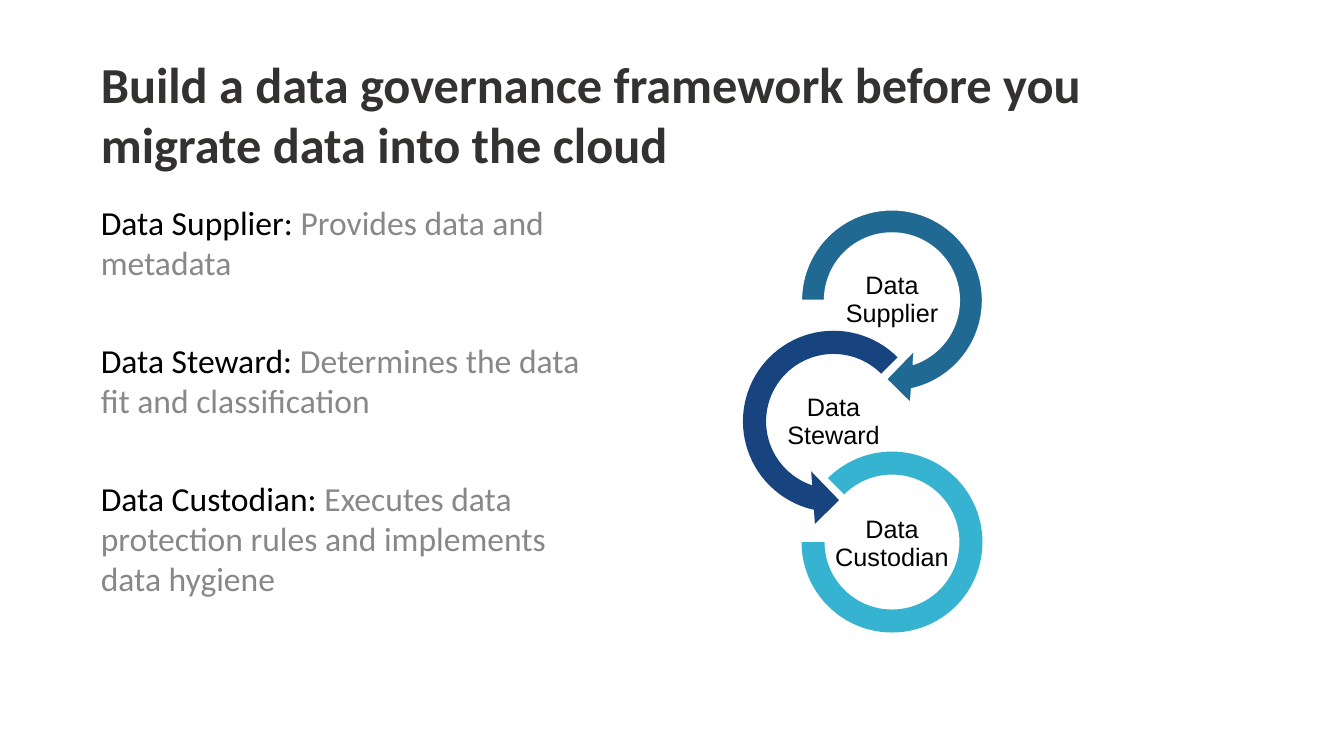
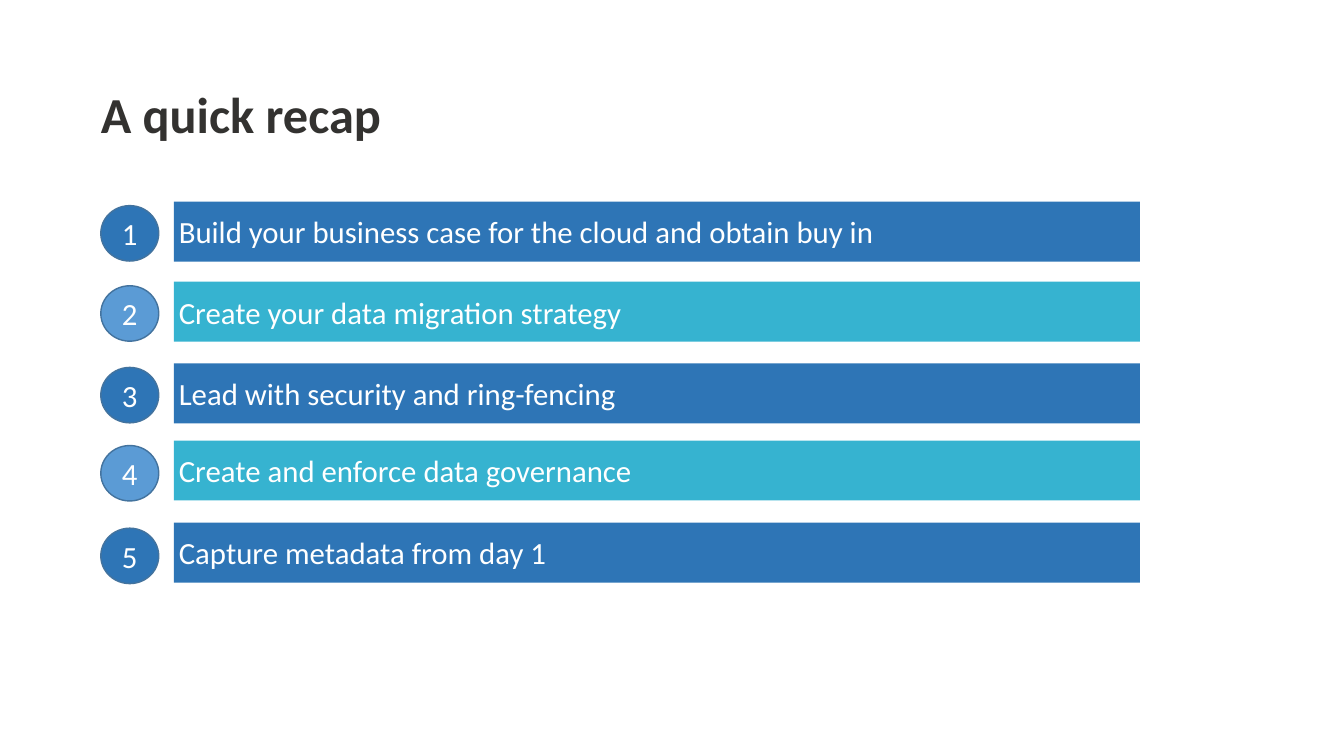
from typing import NamedTuple

from pptx import Presentation
from pptx.dml.color import RGBColor
from pptx.enum import shapes, text
from pptx.util import Inches, Pt

SHAPE = shapes.MSO_SHAPE
ALIGN = text.PP_ALIGN
INK, BLACK, GREY, WHITE = "333230", "000000", "888888", "FFFFFF"
BLUE, TEAL, SKY, EDGE = "2E75B6", "36B3D0", "5B9BD5", "43739E"
LEFT = 2


class Font(NamedTuple):
    size: float
    color: str
    name: str = "Calibri"
    bold: bool = False


class Role(NamedTuple):
    name: str
    duty: str


class Ring(NamedTuple):
    label: str
    label_top: float
    kind: SHAPE
    mid: float
    top: float
    size: float
    fill: str
    adjust: tuple[float, ...]
    line: str | None = None


class Step(NamedTuple):
    label: str
    bar_top: float
    dot_top: float


TITLE = Font(72, INK, bold=True)
LABEL = Font(36, BLACK, "Arial")
ITEM = Font(44, WHITE)

ROLES = (
    Role("Data Supplier: ", "Provides data and metadata"),
    Role("Data Steward: ", "Determines the data fit and classification"),
    Role("Data Custodian: ",
         "Executes data protection rules and implements data hygiene"),
)
RINGS = (
    Ring("Data Supplier", 5.38, SHAPE.CIRCULAR_ARROW, 17.7, 3.87, 4.18,
         "206993", (0.11, 11.42, 45, 108, 0.125), WHITE),
    Ring("Data Steward", 7.8, SHAPE.LEFT_CIRCULAR_ARROW, 16.54, 6.27, 4.18,
         "17437E", (0.11, 11.42, 63, 189, 0.125)),
    Ring("Data Custodian", 10.22, SHAPE.BLOCK_ARC, 17.7, 8.96, 3.59,
         TEAL, (135, 108, 0.127)),
)
STEPS = (
    Step("Build your business case for the cloud and obtain buy in", 4, 4.08),
    Step("Create your data migration strategy", 5.59, 5.67),
    Step("Lead with security and ring-fencing", 7.21, 7.29),
    Step("Create and enforce data governance", 8.74, 8.84),
    Step("Capture metadata from day 1", 10.37, 10.48),
)


def rgb(code: str) -> RGBColor:
    return RGBColor.from_string(code)


def add_run(para, words: str, font: Font) -> None:
    run = para.add_run()
    run.text = words
    run.font.name = font.name
    run.font.size = Pt(font.size)
    run.font.bold = font.bold
    run.font.color.rgb = rgb(font.color)


def add_box(parent, left: float, top: float, width: float, height: float,
            inset: float = 0, anchor=text.MSO_ANCHOR.MIDDLE):
    """Add a wrapping text box and return its text frame."""
    box = parent.shapes.add_textbox(
        Inches(left), Inches(top), Inches(width), Inches(height))
    frame = box.text_frame
    frame.word_wrap = True
    frame.vertical_anchor = anchor
    frame.margin_left = frame.margin_right = Inches(inset)
    frame.margin_top = frame.margin_bottom = Inches(inset)
    return frame


def add_shape(parent, kind: SHAPE, left: float, top: float, width: float,
              height: float, fill: str, line: str | None = None):
    shape = parent.shapes.add_shape(
        kind, Inches(left), Inches(top), Inches(width), Inches(height))
    shape.shadow.inherit = False
    shape.fill.solid()
    shape.fill.fore_color.rgb = rgb(fill)
    if line:
        shape.line.color.rgb = rgb(line)
        shape.line.width = Pt(2)
    else:
        shape.line.fill.background()
    return shape


def write_item(shape, words: str, align: ALIGN) -> None:
    shape.text_frame.word_wrap = True
    shape.text_frame.vertical_anchor = text.MSO_ANCHOR.MIDDLE
    para = shape.text_frame.paragraphs[0]
    para.alignment = align
    add_run(para, words, ITEM)


def add_slide(deck, *title: str):
    """Add a blank slide with a title, one argument per title line."""
    slide = deck.slides.add_slide(deck.slide_layouts[6])
    para = add_box(slide, LEFT, 1, 23.11, 2.5).paragraphs[0]
    for i, words in enumerate(title):
        if i:
            para.add_line_break()
        add_run(para, words, TITLE)
    return slide


def add_roles(slide) -> None:
    frame = add_box(slide, LEFT, 4, 9.95, 7.98, anchor=text.MSO_ANCHOR.TOP)
    for i, role in enumerate(ROLES):
        para = frame.add_paragraph() if i else frame.paragraphs[0]
        para.space_before = Pt(82 if i else 0)
        add_run(para, role.name, Font(48, BLACK))
        add_run(para, role.duty, Font(48, GREY))


def add_ring(group, ring: Ring) -> None:
    shape = add_shape(group, ring.kind, ring.mid - ring.size / 2, ring.top,
                      ring.size, ring.size, ring.fill, ring.line)
    for i, value in enumerate(ring.adjust):
        shape.adjustments[i] = value
    width = 2.32
    frame = add_box(group, ring.mid - width / 2, ring.label_top,
                    width, width / 2, 0.03)
    para = frame.paragraphs[0]
    para.alignment = ALIGN.CENTER
    para.line_spacing = 0.9
    add_run(para, ring.label, LABEL)


def add_step(group, number: int, step: Step) -> None:
    odd = number % 2
    bar = add_shape(group, SHAPE.RECTANGLE, 3.45, step.bar_top, 19.17, 1.19,
                    BLUE if odd else TEAL)
    write_item(bar, step.label, ALIGN.LEFT)
    dot = add_shape(group, SHAPE.OVAL, LEFT, step.dot_top, 1.15, 1.1,
                    BLUE if odd else SKY, EDGE)
    write_item(dot, str(number), ALIGN.CENTER)


def main() -> None:
    deck = Presentation()
    deck.slide_width, deck.slide_height = Inches(26.67), Inches(15)

    roles = add_slide(deck, "Build a data governance framework before you",
                      "migrate data into the cloud")
    add_roles(roles)
    chain = roles.shapes.add_group_shape()
    for ring in RINGS:
        add_ring(chain, ring)

    recap = add_slide(deck, "A quick recap")
    steps = recap.shapes.add_group_shape()
    for number, step in enumerate(STEPS, 1):
        add_step(steps, number, step)

    deck.save("out.pptx")


if __name__ == "__main__":
    main()
